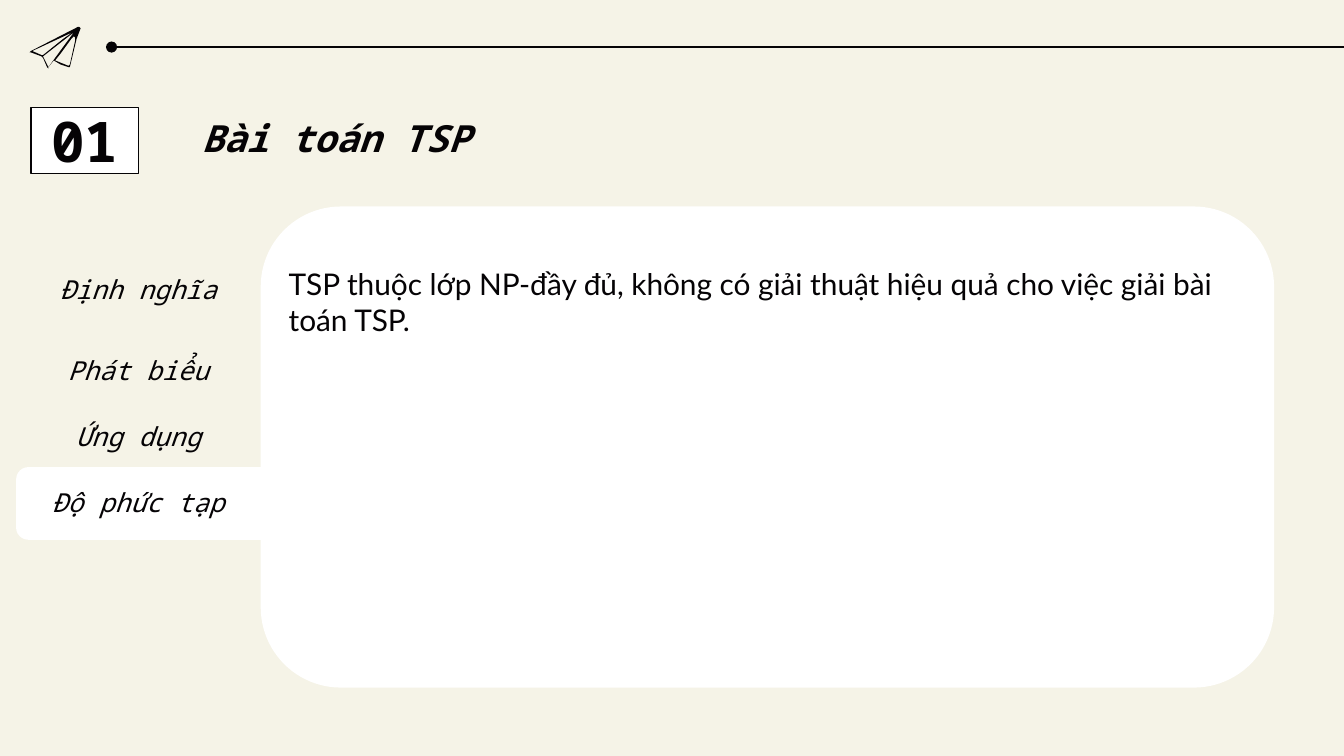
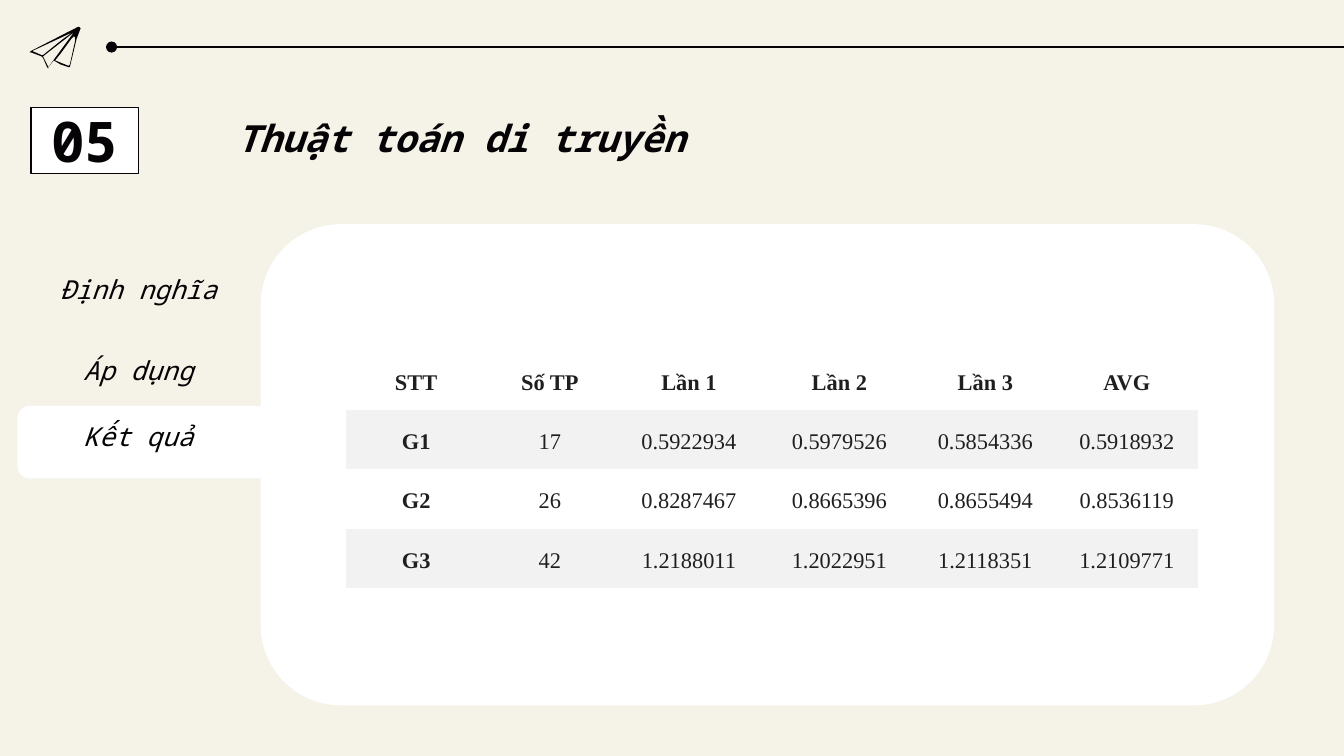
from dataclasses import dataclass

from lxml import etree
from pptx import Presentation
from pptx import util as u
from pptx.dml.color import RGBColor
from pptx.enum import shapes, text
from pptx.oxml.ns import qn

Pt = u.Pt
KIND = shapes.MSO_SHAPE
MID, LOW, TOP = (text.MSO_ANCHOR.MIDDLE, text.MSO_ANCHOR.BOTTOM,
                 text.MSO_ANCHOR.TOP)
PLAIN_GRID = "{2D5ABB26-0587-4C30-8999-92F81FD0307C}"


@dataclass(frozen=True)
class Theme:
    paper: str = "F5F3E7"
    ink: str = "050305"
    white: str = "FFFFFF"
    band: str = "F2F2F2"
    grid_ink: str = "1F1F1F"
    mono: str = "Noto Sans Mono"
    sans: str = "Lato"
    serif: str = "Times New Roman"
    number: int = 30
    title: int = 20
    body: int = 16
    label: int = 14
    cell: int = 12
    rule: float = 0.75
    inset: float = 7.2


# Outline of the paper plane, then its three open folds, in steps of 0.72 pt
PLANE = [
    [(40, 45), (36, 50), (36, 51), (35, 50), (32, 43), (31, 42), (23, 39),
     (22, 39), (23, 38), (58, 20), (59, 20), (60, 21), (57, 29), (52, 50),
     (51, 50), (45, 48)],
    [(51, 49), (52, 48), (56, 30), (56, 28), (55, 27), (53, 29), (45, 40),
     (41, 45)],
    [(36, 50), (55, 24), (32, 42)],
    [(54, 24), (24, 38), (31, 41), (32, 41), (47, 29)],
]
ROW = 35.28  # height of a label, a heading and the number box
HEAD_TOP = 57.6
LABEL_TOPS = [135.36] + [178.56 + ROW * i for i in range(3)]


def paint(fill, color):
    fill.solid()
    fill.fore_color.rgb = RGBColor.from_string(color)


class Deck:
    def __init__(self, theme):
        self.theme = theme
        self.show = Presentation()
        self.show.slide_width, self.show.slide_height = Pt(720), Pt(405)
        paint(self.show.slide_master.background.fill, theme.paper)
        self.slide = None

    def start(self, number, title, width):
        """Add a slide with its top rule, plane, number and heading."""
        t = self.theme
        self.slide = self.show.slides.add_slide(self.show.slide_layouts[0])
        self.rule(59.76, 25.2, 720)
        self.plane()
        box, head = self.slide.placeholders
        self.place(box, 16.56, HEAD_TOP, 57.6, ROW)
        paint(box.fill, t.white)
        paint(box.line.fill, t.ink)
        box.line.width = Pt(t.rule)
        self.letter(box.text_frame, number, t.number, MID, bold=True)
        self.place(head, 96.48, HEAD_TOP, width, ROW)
        self.letter(head.text_frame, title, t.title, LOW, bold=True,
                    slant=True)

    def place(self, shape, x, y, w, h):
        shape.left, shape.top, shape.width, shape.height = map(Pt, (x, y, w, h))

    def letter(self, frame, words, size, anchor, font=None, bold=False,
               slant=False, align=text.PP_ALIGN.CENTER):
        """Set up a text frame and fill it with one paragraph."""
        inset = Pt(self.theme.inset)
        frame.margin_left = frame.margin_right = inset
        frame.margin_top = frame.margin_bottom = inset
        frame.word_wrap = True
        frame.auto_size = text.MSO_AUTO_SIZE.NONE
        frame.vertical_anchor = anchor
        para = frame.paragraphs[0]
        para.alignment = align
        para.space_before = Pt(0)
        self.run(para, words, size, font or self.theme.mono, self.theme.ink,
                 bold, slant)

    def run(self, para, words, size, name, color, bold=False, slant=False):
        run = para.add_run()
        run.text = words
        font = run.font
        font.name, font.size = name, Pt(size)
        font.bold, font.italic = bold, slant
        font.color.rgb = RGBColor.from_string(color)

    def rule(self, x, y, end):
        line = self.slide.shapes.add_connector(
            shapes.MSO_CONNECTOR.STRAIGHT, Pt(x), Pt(y), Pt(end), Pt(y))
        paint(line.line.fill, self.theme.ink)
        line.line.width = Pt(self.theme.rule)
        props = line.element.spPr
        etree.SubElement(props.find(qn("a:ln")), qn("a:headEnd"), type="oval")
        etree.SubElement(props, qn("a:effectLst"))

    def plane(self):
        form = None
        for loop in PLANE:
            if form is None:
                form = self.slide.shapes.build_freeform(*loop[0], scale=Pt(0.72))
            else:
                form.move_to(*loop[0])
            form.add_line_segments(loop[1:], close=True)
        self.finish(form.convert_to_shape(), self.theme.ink)

    def finish(self, shape, color):
        shape.shadow.inherit = False
        paint(shape.fill, color)
        shape.line.fill.background()

    def block(self, kind, x, y, w, h):
        shape = self.slide.shapes.add_shape(kind, *map(Pt, (x, y, w, h)))
        self.finish(shape, self.theme.white)

    def text(self, words, x, y, w, h, size, anchor, **look):
        box = self.slide.shapes.add_textbox(*map(Pt, (x, y, w, h)))
        self.letter(box.text_frame, words, size, anchor, **look)

    def menu(self, labels, tab_x, tab_y, panel_y):
        """Draw the white panel with its open tab and the side labels."""
        self.block(KIND.ROUNDED_RECTANGLE, tab_x, tab_y, 205.2, 38.88)
        self.block(KIND.FLOWCHART_ALTERNATE_PROCESS, 139.68, panel_y,
                   542.88, 257.76)
        for label, y in zip(labels, LABEL_TOPS):
            self.text(label, 8.64, y, 131.04, ROW, self.theme.label, LOW,
                      slant=True)

    def table(self, rows, x, y, widths, height):
        t = self.theme
        frame = self.slide.shapes.add_table(
            len(rows), len(widths), Pt(x), Pt(y), Pt(sum(widths)),
            Pt(height * len(rows)))
        next(frame.element.iter(qn("a:tableStyleId"))).text = PLAIN_GRID
        grid = frame.table
        grid.first_row = grid.horz_banding = False
        for col, width in zip(grid.columns, widths):
            col.width = Pt(width)
        for i, row in enumerate(rows):
            grid.rows[i].height = Pt(height)
            for j, words in enumerate(row):
                cell = grid.cell(i, j)
                cell.margin_left = cell.margin_right = Pt(5.04)
                cell.margin_top = cell.margin_bottom = Pt(0)
                cell.vertical_anchor = MID
                if i % 2:
                    paint(cell.fill, t.band)
                else:
                    cell.fill.background()
                para = cell.text_frame.paragraphs[0]
                para.alignment = text.PP_ALIGN.CENTER
                para.line_spacing = 1.2
                self.run(para, words, t.cell, t.serif, t.grid_ink,
                         bold=i == 0 or j == 0)


def main():
    theme = Theme()
    deck = Deck(theme)

    deck.start("01", "Bài toán TSP", 167.04)
    deck.menu(["Định nghĩa", "Phát biểu", "Ứng dụng", "Độ phức tạp"],
              8.64, 250.3, 110.6)
    deck.text("TSP thuộc lớp NP-đầy đủ, không có giải thuật hiệu quả cho việc "
              "giải bài toán TSP.", 147.6, 135.36, 517.68, 232.56, theme.body,
              TOP, font=theme.sans, align=text.PP_ALIGN.LEFT)

    deck.start("05", "Thuật toán di truyền", 300.96)
    deck.menu(["Định nghĩa", "Áp dụng", "Kết quả"], 9.36, 217.44, 120.1)
    deck.table([
        ["STT", "Số TP", "Lần 1", "Lần 2", "Lần 3", "AVG"],
        ["G1", "17", "0.5922934", "0.5979526", "0.5854336", "0.5918932"],
        ["G2", "26", "0.8287467", "0.8665396", "0.8655494", "0.8536119"],
        ["G3", "42", "1.2188011", "1.2022951", "1.2118351", "1.2109771"],
    ], 185.5, 187.92, [74.9, 68.4, 80.6, 80.6, 75.8, 75.8], 31.75)

    deck.show.save("out.pptx")


if __name__ == "__main__":
    main()
